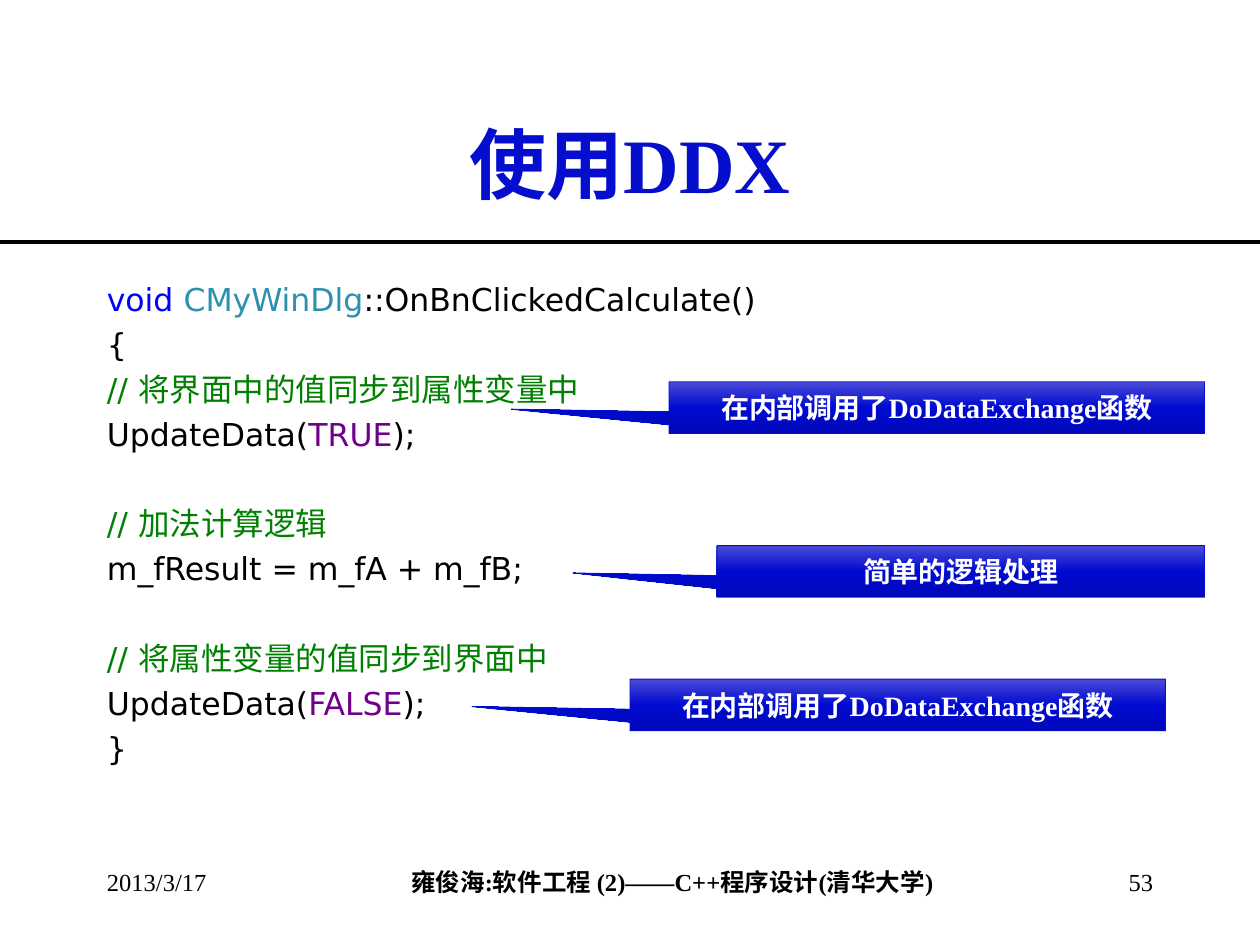
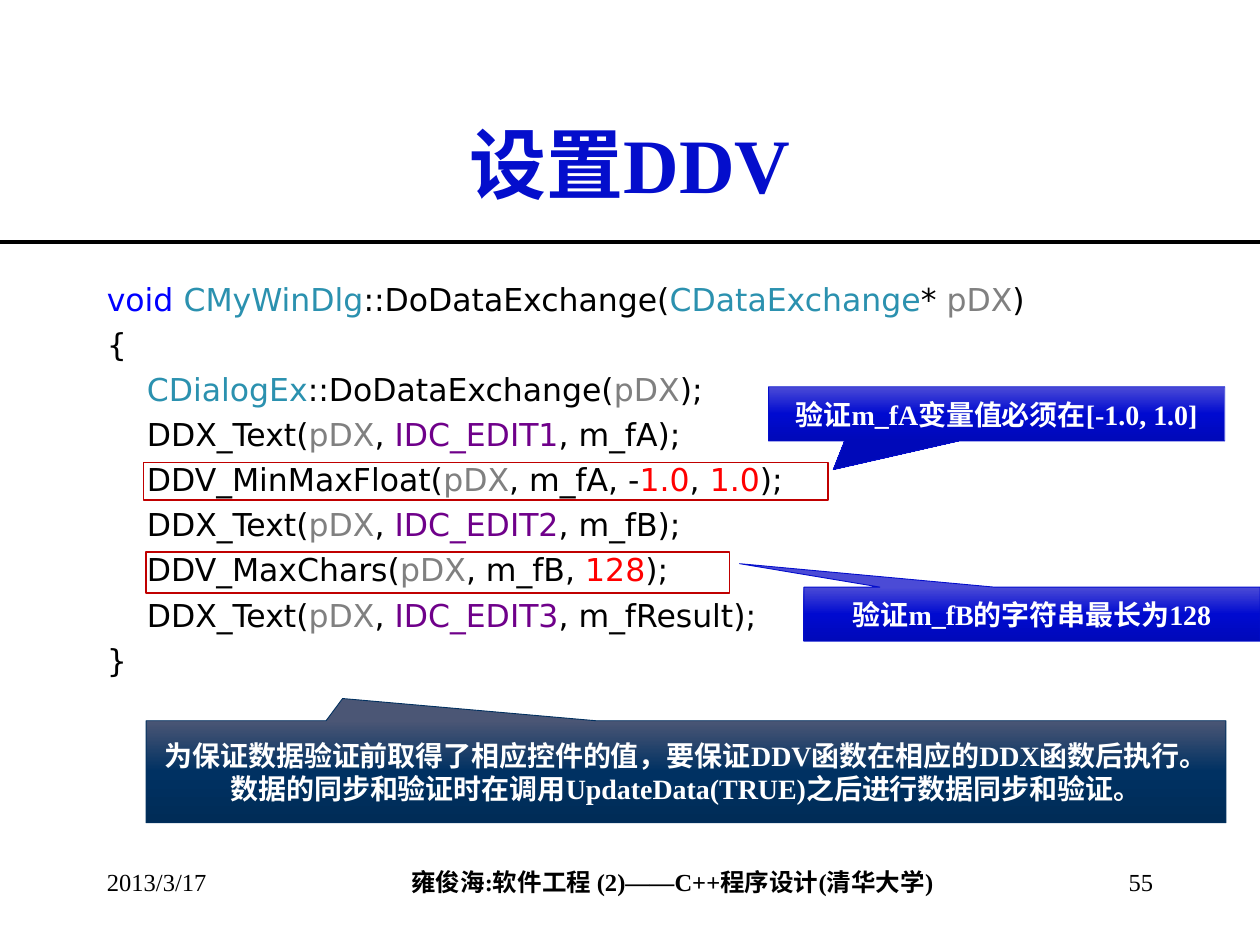
from copy import deepcopy

from pptx import Presentation
from pptx.dml.color import RGBColor
from pptx.enum.shapes import MSO_CONNECTOR, MSO_SHAPE
from pptx.enum.text import MSO_ANCHOR, MSO_AUTO_SIZE, PP_ALIGN
from pptx.oxml.ns import qn
from pptx.util import Inches, Pt
from lxml import etree

LEFT, CENTER, RIGHT = PP_ALIGN.LEFT, PP_ALIGN.CENTER, PP_ALIGN.RIGHT
TOP, MIDDLE = MSO_ANCHOR.TOP, MSO_ANCHOR.MIDDLE
RECTANGLE, CALLOUT = MSO_SHAPE.RECTANGLE, MSO_SHAPE.RECTANGULAR_CALLOUT

TITLE_ONLY = 5
SERIF, CODE_FONT = "Times New Roman", "DejaVu Sans"
BLACK, WHITE, TITLE_BLUE, FRAME_RED = "000000", "FFFFFF", "040ECC", "C00000"
BLUE_GRADIENT = ("4B4BD6", "000AD0", "0009B9")
NAVY_GRADIENT, NAVY_LINE = ("4B5675", "003162", "002C57"), "023160"

# Syntax colours of the code
KEYWORD, TYPE, COMMENT = "0000FF", "2B91AF", "008000"
CONSTANT, PARAMETER, NUMBER = "6F008A", "808080", "FF0000"

LINE_GAP = 4.2      # points between code lines
BLOCK_GAP = 29.4    # the same plus one empty line
INDENT = "    "

DATE = "2013/3/17"
COURSE = "雍俊海:软件工程 (2)——C++程序设计(清华大学)"


def color(value):
    return RGBColor.from_string(value)


def add_run(paragraph, text, size, fill=BLACK, bold=False, font=SERIF):
    run = paragraph.add_run()
    run.text = text
    run.font.name = font
    run.font.size = Pt(size)
    run.font.bold = bold
    run.font.color.rgb = color(fill)


def prepare_frame(shape, anchor=TOP):
    frame = shape.text_frame
    frame.word_wrap = True
    frame.auto_size = MSO_AUTO_SIZE.NONE
    frame.vertical_anchor = anchor
    return frame


def add_label(slide, text, left, width, height, align, bold=False):
    """One part of the footer line."""
    box = slide.shapes.add_textbox(Inches(left), Inches(6.83), Inches(width), Inches(height))
    frame = prepare_frame(box)
    if align == CENTER:
        frame.margin_left = frame.margin_right = 0
    paragraph = frame.paragraphs[0]
    paragraph.alignment = align
    add_run(paragraph, text, 14, bold=bold)


def add_base_slide(presentation, title, number):
    """Slide with title, rule and footer."""
    slide = presentation.slides.add_slide(presentation.slide_layouts[TITLE_ONLY])
    rule = slide.shapes.add_connector(
        MSO_CONNECTOR.STRAIGHT, 0, Inches(1.92), Inches(10), Inches(1.92))
    rule.line.color.rgb = color(BLACK)
    rule.line.width = Pt(2.25)
    etree.SubElement(rule._element.spPr, qn("a:effectLst"))

    heading = slide.shapes.title
    heading.left, heading.top = Inches(0.75), Inches(0.67)
    heading.width, heading.height = Inches(8.5), Inches(1.25)
    paragraph = prepare_frame(heading, MIDDLE).paragraphs[0]
    paragraph.alignment = CENTER
    add_run(paragraph, title, 44, TITLE_BLUE, bold=True)

    add_label(slide, COURSE, 2.05, 6.57, 0.33, CENTER, bold=True)
    add_label(slide, DATE, 0.75, 2.08, 0.5, LEFT)
    add_label(slide, str(number), 7.17, 2.08, 0.5, RIGHT)
    return slide


def add_code(slide, blocks):
    """Blocks of lines; a line is a list of strings (black) or (text, colour)."""
    box = slide.shapes.add_textbox(Inches(0.75), Inches(2.17), Inches(8.5), Inches(4.5))
    frame = prepare_frame(box)
    for block_index, block in enumerate(blocks):
        for line_index, line in enumerate(block):
            if block_index == line_index == 0:
                paragraph = frame.paragraphs[0]
            else:
                paragraph = frame.add_paragraph()
                paragraph.space_before = Pt(LINE_GAP if line_index else BLOCK_GAP)
            for token in line:
                text, fill = (token, BLACK) if isinstance(token, str) else token
                add_run(paragraph, text, 18, fill, font=CODE_FONT)


def add_box(slide, kind, left, top, width, height, line, line_width):
    shape = slide.shapes.add_shape(
        kind, Inches(left), Inches(top), Inches(width), Inches(height))
    shape.shadow.inherit = False
    shape.line.color.rgb = color(line)
    shape.line.width = Pt(line_width)
    return shape


def add_frame(slide, left, top, width, height):
    add_box(slide, RECTANGLE, left, top, width, height, FRAME_RED, 1).fill.background()


def fill_gradient(shape, colors):
    """Vertical gradient with evenly spaced stops."""
    shape.fill.gradient()
    shape.fill.gradient_angle = 270
    stop_list = shape._element.spPr.find(qn("a:gradFill")).find(qn("a:gsLst"))
    stop_list.append(deepcopy(stop_list[-1]))
    for index, (stop, value) in enumerate(zip(shape.fill.gradient_stops, colors)):
        stop.color.rgb = color(value)
        stop.position = index / (len(colors) - 1)


def add_callout(slide, text, left, top, width, height, tip,
                gradient=BLUE_GRADIENT, line=TITLE_BLUE):
    shape = add_box(slide, CALLOUT, left, top, width, height, line, 0.5)
    shape.adjustments[0], shape.adjustments[1] = tip
    fill_gradient(shape, gradient)
    paragraph = prepare_frame(shape, MIDDLE).paragraphs[0]
    paragraph.alignment = CENTER
    add_run(paragraph, text, 16, WHITE, bold=True)


def method_start(*rest):
    return [("void", KEYWORD), " ", ("CMyWinDlg", TYPE), *rest]


def update_data(flag):
    return ["UpdateData(", (flag, CONSTANT), ");"]


def exchange_call(function, *rest):
    return [f"{INDENT}{function}(", ("pDX", PARAMETER), *rest]


def text_exchange(control, member):
    return exchange_call("DDX_Text", ", ", (control, CONSTANT), f", {member});")


def build_ddx_slide(presentation):
    slide = add_base_slide(presentation, "使用DDX", 53)
    add_code(slide, [
        [method_start("::OnBnClickedCalculate()"),
         ["{"],
         [("// 将界面中的值同步到属性变量中", COMMENT)],
         update_data("TRUE")],
        [[("// 加法计算逻辑", COMMENT)],
         ["m_fResult = m_fA + m_fB;"]],
        [[("// 将属性变量的值同步到界面中", COMMENT)],
         update_data("FALSE"),
         ["}"]],
    ])
    internal_call = "在内部调用了DoDataExchange函数"
    for text, left, top, width in (
            (internal_call, 5.31, 3.03, 4.25),
            (internal_call, 5, 5.39, 4.25),
            ("简单的逻辑处理", 5.69, 4.33, 3.87)):
        add_callout(slide, text, left, top, width, 0.41, (-0.795, 0.031))


def build_ddv_slide(presentation):
    slide = add_base_slide(presentation, "设置DDV", 55)
    add_code(slide, [[
        method_start("::DoDataExchange(", ("CDataExchange", TYPE), "* ",
                     ("pDX", PARAMETER), ")"),
        ["{"],
        [INDENT, ("CDialogEx", TYPE), "::DoDataExchange(", ("pDX", PARAMETER), ");"],
        text_exchange("IDC_EDIT1", "m_fA"),
        exchange_call("DDV_MinMaxFloat", ", m_fA, -", ("1.0", NUMBER), ", ",
                      ("1.0", NUMBER), ");"),
        text_exchange("IDC_EDIT2", "m_fB"),
        exchange_call("DDV_MaxChars", ", m_fB, ", ("128", NUMBER), ");"),
        text_exchange("IDC_EDIT3", "m_fResult"),
        ["}"],
    ]])
    # Validation lines with their explanations
    add_frame(slide, 1.14, 3.67, 5.43, 0.3)
    add_callout(slide, "验证m_fA变量值必须在[-1.0, 1.0]",
                6.1, 3.07, 3.62, 0.43, (-0.358, 1.029))
    add_frame(slide, 1.16, 4.38, 4.63, 0.33)
    add_callout(slide, "验证m_fB的字符串最长为128",
                6.38, 4.66, 3.62, 0.43, (-0.641, -0.933))
    # Rule on the order of calls
    add_callout(slide,
                "为保证数据验证前取得了相应控件的值，要保证DDV函数在相应的DDX函数后执行。"
                "数据的同步和验证时在调用UpdateData(TRUE)之后进行数据同步和验证。",
                1.16, 5.72, 8.57, 0.81, (-0.318, -0.718), NAVY_GRADIENT, NAVY_LINE)


def main():
    presentation = Presentation()
    presentation.slide_width, presentation.slide_height = Inches(10), Inches(7.5)
    build_ddx_slide(presentation)
    build_ddv_slide(presentation)
    presentation.save("out.pptx")


if __name__ == "__main__":
    main()
